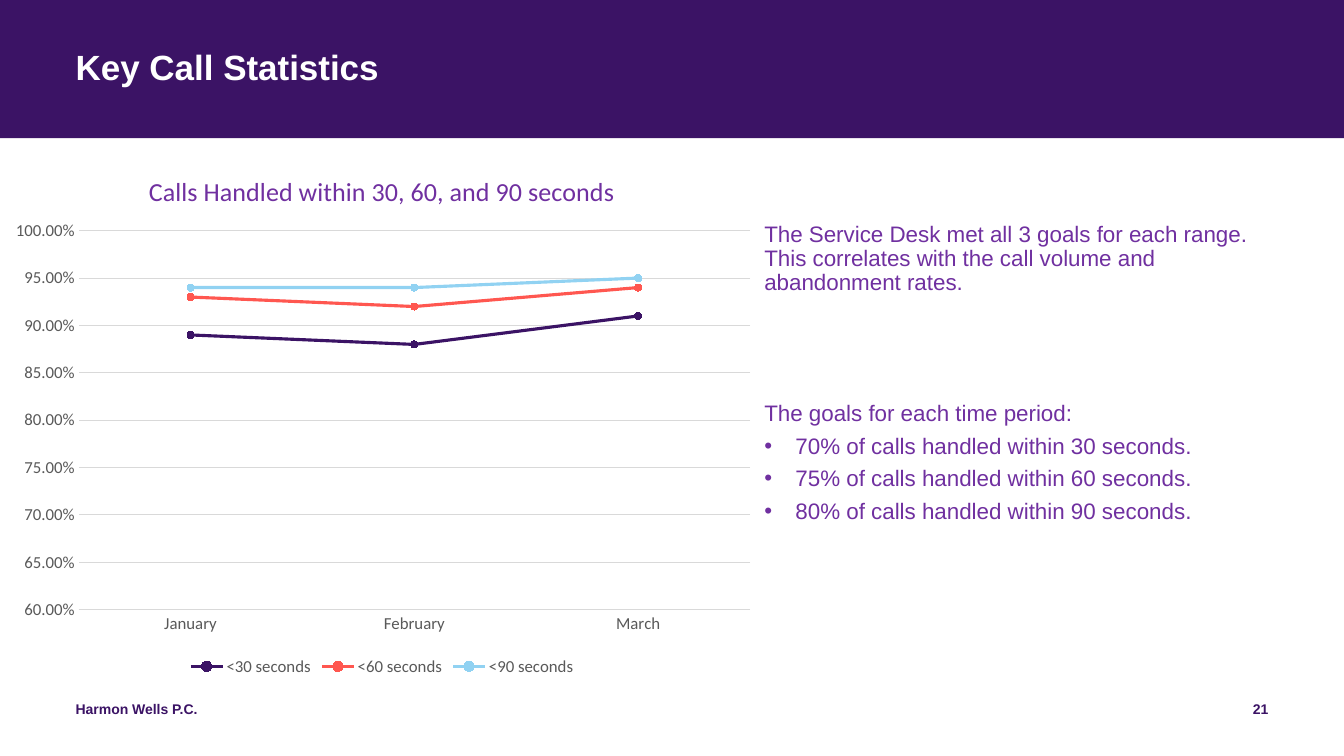
from lxml import etree
from pptx import Presentation
from pptx.chart.data import CategoryChartData
from pptx.dml.color import RGBColor
from pptx.enum.chart import XL_CHART_TYPE, XL_LEGEND_POSITION, XL_MARKER_STYLE, XL_TICK_MARK
from pptx.enum.shapes import MSO_SHAPE
from pptx.enum.text import MSO_ANCHOR, MSO_AUTO_SIZE, PP_ALIGN
from pptx.oxml import parse_xml
from pptx.oxml.ns import nsdecls, qn
from pptx.util import Inches, Pt

LINE_MARKERS = XL_CHART_TYPE.LINE_MARKERS
BOTTOM = XL_LEGEND_POSITION.BOTTOM
CIRCLE = XL_MARKER_STYLE.CIRCLE
NO_TICK = XL_TICK_MARK.NONE
RECTANGLE = MSO_SHAPE.RECTANGLE
TOP, NO_AUTO_SIZE = MSO_ANCHOR.TOP, MSO_AUTO_SIZE.NONE
LEFT, RIGHT = PP_ALIGN.LEFT, PP_ALIGN.RIGHT

INDIGO, PURPLE, WHITE = "3B1365", "7030A0", "FFFFFF"
GRAY, LIGHT_GRAY = "595959", "D9D9D9"
CHART_WIDTH, CHART_HEIGHT = 7.58, 5.24


def style_font(font, size, color, name="Arial", bold=False):
    font.size, font.name, font.bold = Pt(size), name, bold
    font.color.rgb = RGBColor.from_string(color)


def prepare_frame(shape, left, top, width, height):
    """Move a text shape and remove its margins; return the frame."""
    shape.left, shape.top = Inches(left), Inches(top)
    shape.width, shape.height = Inches(width), Inches(height)
    frame = shape.text_frame
    frame.margin_left = frame.margin_right = frame.margin_top = frame.margin_bottom = 0
    frame.word_wrap = True
    frame.auto_size = NO_AUTO_SIZE
    frame.vertical_anchor = TOP
    return frame


presentation = Presentation()
presentation.slide_width, presentation.slide_height = Inches(13.33), Inches(7.5)
slide = presentation.slides.add_slide(presentation.slide_layouts[1])
title, body = slide.placeholders[0], slide.placeholders[1]

# Header band, placed behind the title
band = slide.shapes.add_shape(RECTANGLE, 0, 0, Inches(13.33), Inches(1.37))
band.shadow.inherit = False
band.fill.solid()
band.fill.fore_color.rgb = RGBColor.from_string(INDIGO)
band.line.fill.background()
title._element.addprevious(band._element)

# Title
paragraph = prepare_frame(title, 0.75, 0.5, 11.83, 0.81).paragraphs[0]
paragraph.alignment = LEFT
paragraph.line_spacing = 0.9
run = paragraph.add_run()
run.text = "Key Call Statistics"
style_font(run.font, 25, WHITE, bold=True)

# Commentary: text, space before in points, bulleted
commentary = [
    ("The Service Desk met all 3 goals for each range. "
     "This correlates with the call volume and abandonment rates.", 0, False),
    ("The goals for each time period:", 70.5, False),
    ("70% of calls handled within 30 seconds.", 0, True),
    ("75% of calls handled within 60 seconds.", 0, True),
    ("80% of calls handled within 90 seconds.", 0, True),
]
frame = prepare_frame(body, 7.58, 2.21, 5, 4.54)
for index, (text, space_before, bulleted) in enumerate(commentary):
    paragraph = frame.add_paragraph() if index else frame.paragraphs[0]
    paragraph.line_spacing = 0.9
    paragraph.space_before, paragraph.space_after = Pt(space_before), Pt(6)
    indent = Inches(0.31) if bulleted else 0
    properties = paragraph._p.get_or_add_pPr()
    properties.set("marL", str(indent))
    properties.set("indent", str(-indent))
    if bulleted:
        etree.SubElement(properties, qn("a:buChar")).set("char", "•")
    else:
        etree.SubElement(properties, qn("a:buNone"))
    run = paragraph.add_run()
    run.text = text
    style_font(run.font, 16, PURPLE)

# Footer: firm name and page number
for text, left, width, alignment in [
    ("Harmon Wells P.C.", 0.75, 4.5, LEFT),
    ("21", 9.58, 3, RIGHT),
]:
    footer = slide.shapes.add_textbox(0, 0, 0, 0)
    paragraph = prepare_frame(footer, left, 6.95, width, 0.4).paragraphs[0]
    paragraph.alignment = alignment
    run = paragraph.add_run()
    run.text = text
    style_font(run.font, 10, INDIGO, bold=True)

# Line chart of calls handled in time
series_data = [
    ("<30 seconds", (0.89, 0.88, 0.91), INDIGO),
    ("<60 seconds", (0.93, 0.92, 0.94), "FF5750"),
    ("<90 seconds", (0.94, 0.94, 0.95), "91D2F2"),
]
chart_data = CategoryChartData(number_format="0.00%")
chart_data.categories = ["January", "February", "March"]
for name, values, color in series_data:
    chart_data.add_series(name, values)
chart = slide.shapes.add_chart(
    LINE_MARKERS, 0, Inches(1.51), Inches(CHART_WIDTH), Inches(CHART_HEIGHT), chart_data).chart
style_font(chart.font, 12, GRAY, "Calibri")

run = chart.chart_title.text_frame.paragraphs[0].add_run()
run.text = "Calls Handled within 30, 60, and 90 seconds"
style_font(run.font, 18.6, PURPLE, "Calibri")
chart.chart_title.include_in_layout = False

chart.has_legend = True
chart.legend.position = BOTTOM
chart.legend.include_in_layout = False
style_font(chart.legend.font, 12, GRAY, "Calibri")

# Axes and gridlines
category_axis, value_axis = chart.category_axis, chart.value_axis
for axis in (category_axis, value_axis):
    axis.major_tick_mark = axis.minor_tick_mark = NO_TICK
    style_font(axis.tick_labels.font, 12, GRAY, "Calibri")
value_axis.minimum_scale, value_axis.maximum_scale, value_axis.major_unit = 0.6, 1, 0.05
value_axis.tick_labels.number_format = "0.00%"
value_axis.tick_labels.number_format_is_linked = False
value_axis.format.line.fill.background()
for line in (category_axis.format.line, value_axis.major_gridlines.format.line):
    line.color.rgb = RGBColor.from_string(LIGHT_GRAY)
    line.width = Pt(0.75)

# Series lines and markers
plot = chart.plots[0]
plot.vary_by_categories = False
for series, (name, values, color) in zip(plot.series, series_data):
    series.smooth = False
    series.format.line.color.rgb = RGBColor.from_string(color)
    series.format.line.width = Pt(2.25)
    series.marker.style, series.marker.size = CIRCLE, 5
    series.marker.format.fill.solid()
    series.marker.format.fill.fore_color.rgb = RGBColor.from_string(color)
    series.marker.format.line.color.rgb = RGBColor.from_string(color)

# Plot area position: inches turned into shares of the chart
plot_area = chart._chartSpace.chart.plotArea
for layout in plot_area.findall(qn("c:layout")):
    plot_area.remove(layout)
plot_area.insert(0, parse_xml(
    f'<c:layout {nsdecls("c")}><c:manualLayout><c:layoutTarget val="inner"/>'
    '<c:xMode val="edge"/><c:yMode val="edge"/>'
    f'<c:x val="{0.78 / CHART_WIDTH}"/><c:y val="{0.78 / CHART_HEIGHT}"/>'
    f'<c:w val="{6.66 / CHART_WIDTH}"/><c:h val="{3.76 / CHART_HEIGHT}"/>'
    '</c:manualLayout></c:layout>'))

presentation.save("out.pptx")
